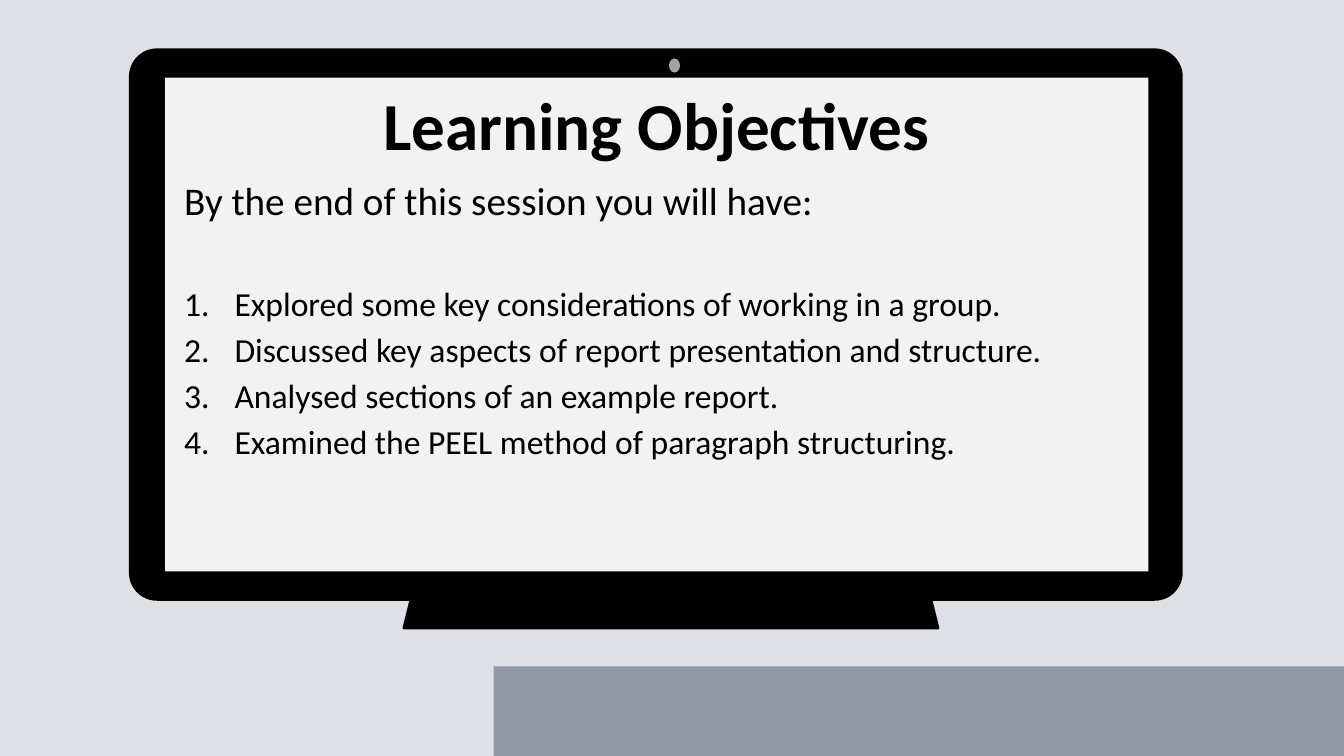
from lxml.etree import SubElement
from pptx import Presentation
from pptx.dml.color import RGBColor
from pptx.enum.shapes import MSO_SHAPE
from pptx.enum.text import MSO_ANCHOR, MSO_AUTO_SIZE, PP_ALIGN
from pptx.oxml.ns import qn
from pptx.util import Inches, Pt

WIDTH, HEIGHT = 13.34, 7.5
BLACK, SLATE, LENS, SCREEN = "000000", "8F9AA6", "9AA5AE", "F2F2F2"

INTRO = "By the end of this session you will have:"
OBJECTIVES = [
    "Explored some key considerations of working in a group.",
    "Discussed key aspects of report presentation and structure.",
    "Analysed sections of an example report.",
    "Examined the PEEL method of paragraph structuring.",
]


def rgb(color):
    return RGBColor.from_string(color)


def add_block(s, kind, x, y, w, h, color, adj=None):
    sp = s.shapes.add_shape(kind, Inches(x), Inches(y), Inches(w), Inches(h))
    sp.shadow.inherit = False
    sp.fill.solid()
    sp.fill.fore_color.rgb = rgb(color)
    sp.line.fill.background()
    if adj is not None:
        sp.adjustments[0] = adj
    return sp


def add_run(p, text, size, bold=False):
    r = p.add_run()
    r.text = text
    r.font.name = "Calibri"
    r.font.size = Pt(size)
    r.font.bold = bold
    r.font.color.rgb = rgb(BLACK)


def number_paragraph(p):
    """Give the paragraph an automatic number with a hanging indent."""
    pPr = p._p.get_or_add_pPr()
    pPr.set("marL", str(Inches(0.5)))
    pPr.set("indent", str(-Inches(0.5)))
    SubElement(pPr, qn("a:buFont"), typeface="+mj-lt")
    SubElement(pPr, qn("a:buAutoNum"), type="arabicPeriod")


def add_backdrop(s, x, y, w, h):
    wash = add_block(s, MSO_SHAPE.RECTANGLE, x, y, w, h, SLATE)
    color = wash.fill._xPr.find(qn("a:solidFill"))[0]
    SubElement(color, qn("a:alpha"), val="30000")
    add_block(s, MSO_SHAPE.RECTANGLE, x + 4.9, y + 6.61, w - 4.9, h - 6.61, SLATE)


def add_monitor(s, x, y, w, h):
    add_block(s, MSO_SHAPE.ROUNDED_RECTANGLE, x, y, w, h, BLACK, 0.051)
    add_block(s, MSO_SHAPE.OVAL, x + 5.36, y + 0.1, 0.11, 0.14, LENS)
    add_block(s, MSO_SHAPE.RECTANGLE, x + 0.36, y + 0.29, w - 0.7, h - 0.58, SCREEN)
    stand = add_block(s, MSO_SHAPE.TRAPEZOID, x + 2.73, y + h - 0.13, 5.3, 0.4, BLACK, 0.25)
    stand.line.color.rgb = rgb(BLACK)
    stand.line.width = Pt(2)


def place_title(s, x, y, w, h):
    title = s.shapes.title
    title.left, title.top, title.width, title.height = map(Inches, (x, y, w, h))
    s.shapes._spTree.append(title._element)  # bring in front of the monitor
    tf = title.text_frame
    tf.word_wrap = True
    tf.auto_size = MSO_AUTO_SIZE.NONE
    tf.vertical_anchor = MSO_ANCHOR.TOP
    p = tf.paragraphs[0]
    p.alignment = PP_ALIGN.CENTER
    add_run(p, "Learning Objectives", 48, bold=True)


def add_objectives(s, x, y, w, h):
    tf = s.shapes.add_textbox(Inches(x), Inches(y), Inches(w), Inches(h)).text_frame
    tf.word_wrap = True
    p = tf.paragraphs[0]
    p.line_spacing = 1.14
    p.space_after = Pt(39)
    add_run(p, INTRO, 28)
    for objective in OBJECTIVES:
        p = tf.add_paragraph()
        p.line_spacing = 1.14
        number_paragraph(p)
        add_run(p, objective, 24)


def build_objectives_slide(prs):
    s = prs.slides.add_slide(prs.slide_layouts[5])
    add_backdrop(s, 0, 0, WIDTH, HEIGHT)
    add_monitor(s, 1.28, 0.48, 10.46, 5.48)
    place_title(s, 2.52, 0.78, 7.99, 0.9)
    add_objectives(s, 1.73, 1.63, 9.76, 4.3)


def main():
    prs = Presentation()
    prs.slide_width, prs.slide_height = Inches(WIDTH), Inches(HEIGHT)
    build_objectives_slide(prs)
    prs.save("out.pptx")


if __name__ == "__main__":
    main()
